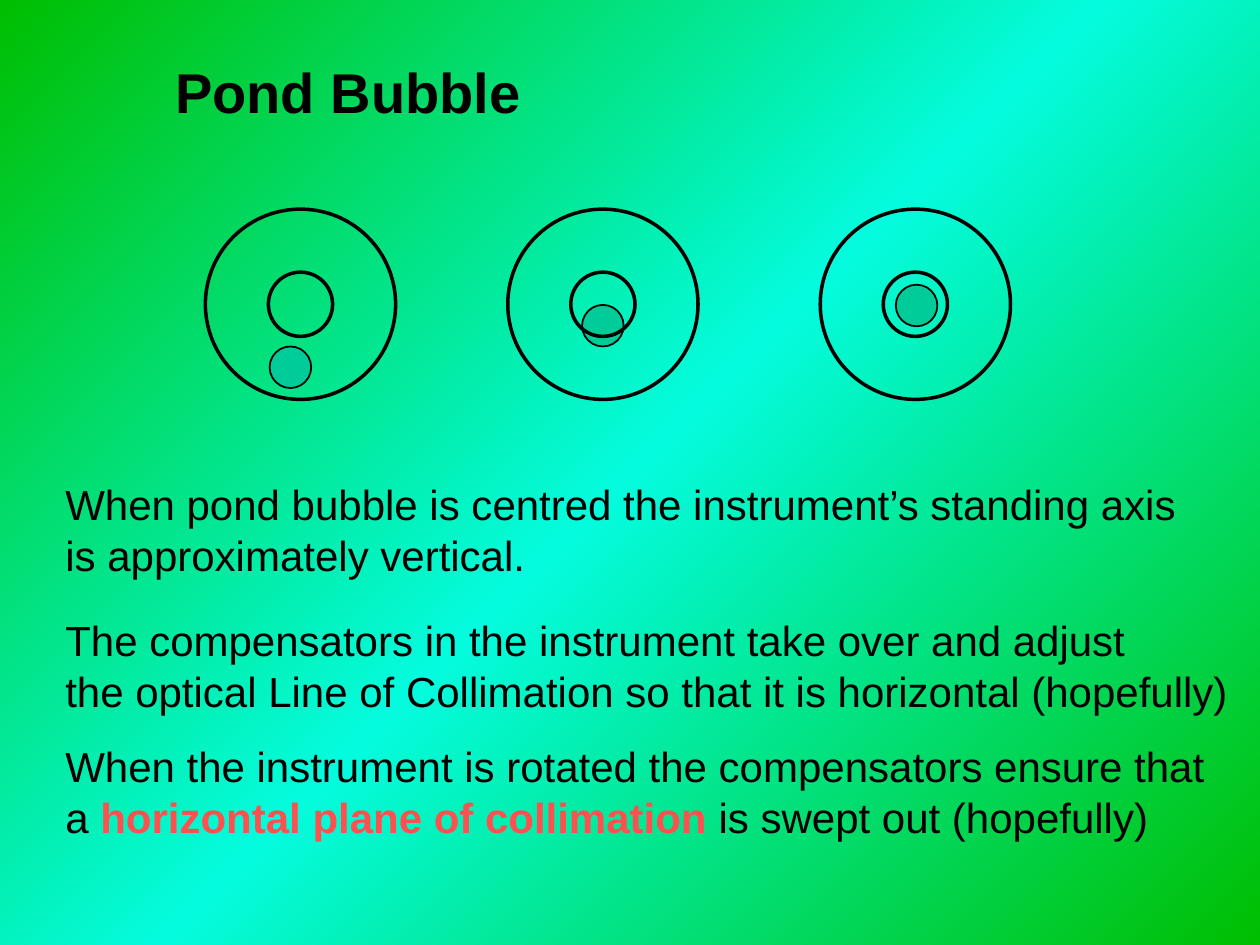
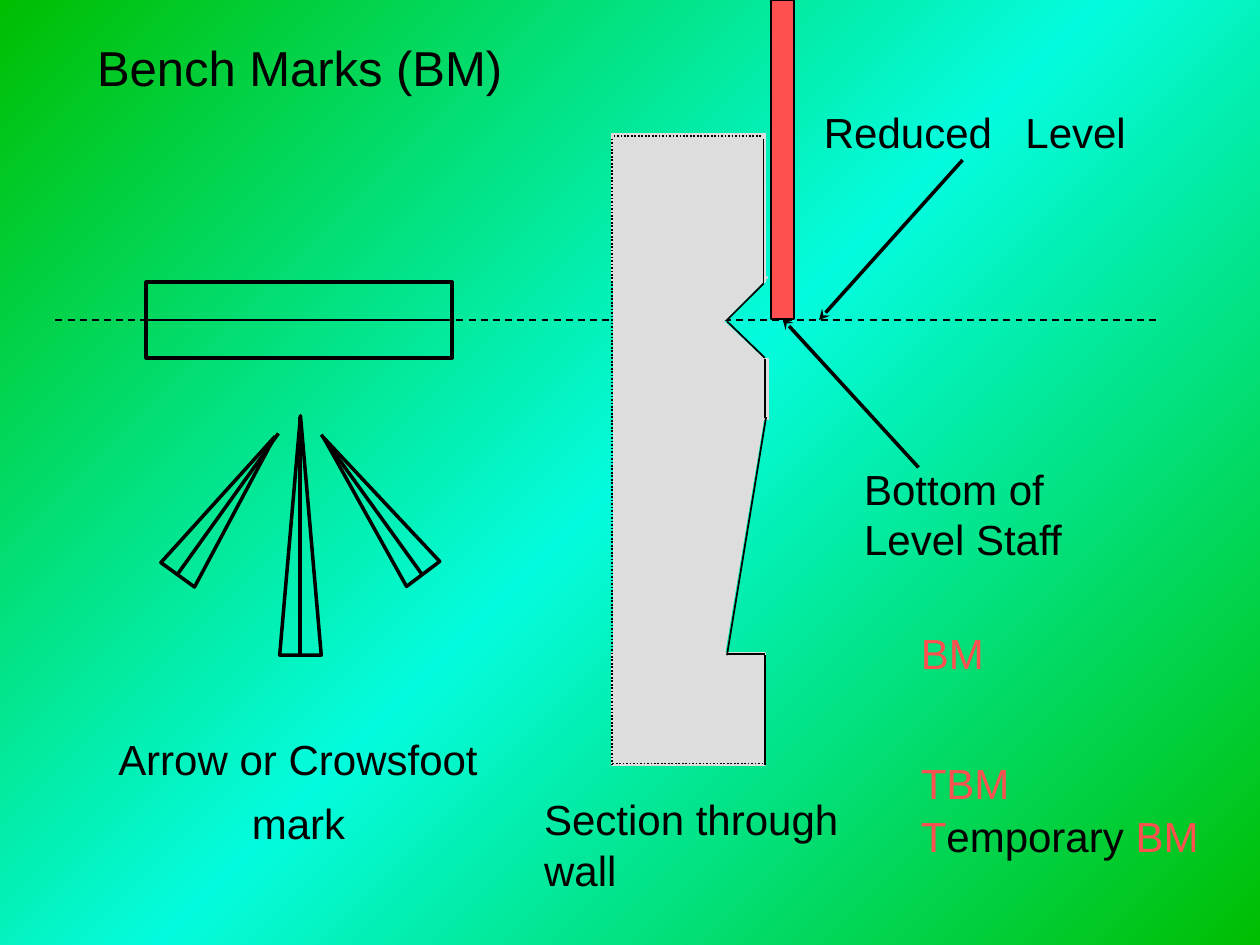
from copy import deepcopy

from lxml import etree
from pptx import Presentation, util as u
from pptx.dml.color import RGBColor
from pptx.enum import dml, shapes, text
from pptx.oxml.ns import qn

FONT = "Arial"
BLACK, RED, TEAL, GREY = "000000", "FF5050", "00CC99", "DDDDDD"
BACKGROUND = [(0, "00BE00"), (0.5, "04FCDE"), (1, "00BE00")]
OVAL = shapes.MSO_SHAPE.OVAL
RECT = shapes.MSO_SHAPE.RECTANGLE
TRIANGLE = shapes.MSO_SHAPE.ISOSCELES_TRIANGLE
RIGHT_TRIANGLE = shapes.MSO_SHAPE.RIGHT_TRIANGLE
DASH, DOTS = dml.MSO_LINE.DASH, dml.MSO_LINE.ROUND_DOT

# Paragraphs are lists of (words, colour, bold) spans or plain strings.
POND_TITLE = ((1.29, 0.41, 2.95, 0.63), [["Pond Bubble"]])
POND_TEXTS = [
    ((0.42, 3.75, 9.02, 0.9),
     [["When pond bubble is centred the instrument’s standing axis"],
      ["is approximately vertical."]]),
    ((0.42, 4.83, 9.43, 0.9),
     [["The compensators in the instrument take over and adjust"],
      ["the optical Line of Collimation so that it is horizontal (hopefully)"]]),
    ((0.42, 5.83, 9.24, 0.9),
     [["When the instrument is rotated the compensators ensure that"],
      ["a ", ("horizontal plane of collimation", RED, True),
       " is swept out (hopefully)"]]),
]
VIAL_TOP, VIAL_SIZE, RING_SIZE, BUBBLE_SIZE = 1.66, 1.51, 0.51, 0.33
# Left of each vial, and place of its bubble within the vial
VIALS = [(1.63, (0.51, 1.09)), (4.03, (0.59, 0.76)), (6.51, (0.6, 0.6))]

BENCH_TITLE = ((0.67, 0.25, 3.42, 0.57), [["Bench Marks (BM)"]])
BENCH_TEXTS = [
    ((0.84, 5.77, 3.05, 0.5), [["Arrow or Crowsfoot"]]),
    ((1.9, 6.28, 0.94, 0.5), [["mark"]]),
    ((6.44, 0.8, 2.61, 0.5), [["Reduced\tLevel"]]),
    ((4.22, 6.25, 2.54, 0.9), [["Section through"], ["wall"]]),
    ((6.76, 3.63, 1.78, 0.9), [["Bottom of"], ["Level Staff"]]),
    ((7.21, 4.93, 0.7, 0.5), [[("BM", RED, False)]]),
    ((7.21, 5.96, 0.91, 0.5), [[("TBM", RED, False)]]),
    ((7.21, 6.38, 2.41, 0.5),
     [[("T", RED, False), "emporary", (" BM", RED, False)]]),
]
LEVEL_TAB = 1.6
LEVEL_Y = 2.54
# Place, rotation, mirrored, apex position
CROWSFOOT = [
    ((2.22, 3.3, 0.33, 1.9), 0, False, 0.5),
    ((2.79, 3.35, 0.33, 1.34), 323, False, 0.563),
    ((1.64, 3.35, 0.33, 1.34), 36, True, 0.563),
]
CROWSFOOT_RIDGES = [
    ((2.21, 3.44), (1.4, 4.57)),
    ((2.55, 3.45), (3.35, 4.56)),
    ((2.38, 3.31), (2.38, 5.2)),
]
# Preset, place, upside down
WALL_PARTS = [
    (RIGHT_TRIANGLE, (5.73, 2.54, 0.34, 0.32), False),
    (RECT, (5.74, 2.85, 0.36, 0.48), False),
    (RECT, (4.86, 5.18, 1.21, 0.89), False),
    (RECT, (4.86, 1.06, 1.21, 1.18), False),
    (RECT, (4.87, 2.2, 0.87, 3), False),
    (RIGHT_TRIANGLE, (5.75, 2.2, 0.34, 0.34), True),
    (RIGHT_TRIANGLE, (5.75, 3.31, 0.31, 1.87), True),
]
WALL_CUTS = [
    ((4.86, 1.1), (4.86, 6.07)),
    ((4.86, 6.06), (6.07, 6.06)),
    ((4.87, 1.08), (6.05, 1.08)),
]
WALL_FACE = [
    ((6.06, 1.1), (6.06, 2.25)),
    ((6.06, 2.25), (5.77, 2.54)),
    ((5.77, 2.55), (6.07, 2.84)),
    ((6.07, 2.85), (6.07, 3.32)),
    ((6.08, 3.31), (5.77, 5.2)),
    ((5.77, 5.19), (6.07, 5.19)),
    ((6.07, 5.2), (6.07, 6.07)),
]


def color(value):
    return RGBColor.from_string(value)


def inches(values):
    return [u.Inches(value) for value in values]


def paint_background(master):
    fill = master.background.fill
    fill.gradient()
    fill.gradient_angle = 135
    stops = master.element.find(".//" + qn("a:gsLst"))
    stops.append(deepcopy(stops[-1]))
    for stop, (position, value) in zip(fill.gradient_stops, BACKGROUND):
        stop.position = position
        stop.color.rgb = color(value)


def write_text(box, paragraphs, size=24, bold=False, tab=None):
    frame = box.text_frame
    frame.word_wrap = False
    frame.auto_size = text.MSO_AUTO_SIZE.SHAPE_TO_FIT_TEXT
    frame.vertical_anchor = text.MSO_ANCHOR.TOP
    for index, spans in enumerate(paragraphs):
        para = frame.add_paragraph() if index else frame.paragraphs[0]
        para.alignment = text.PP_ALIGN.LEFT
        para.line_spacing = u.Pt(size * 1.2)
        if tab:
            tabs = etree.SubElement(para._p.get_or_add_pPr(), qn("a:tabLst"))
            etree.SubElement(tabs, qn("a:tab"), pos=str(u.Inches(tab)), algn="l")
        for item in spans:
            words, value, heavy = (item, BLACK, bold) if isinstance(item, str) else item
            span = para.add_run()
            span.text = words
            span.font.name = FONT
            span.font.size = u.Pt(size)
            span.font.bold = heavy
            span.font.color.rgb = color(value)


def add_titled_slide(deck, title, size, bold=False):
    slide = deck.slides.add_slide(deck.slide_layouts[5])
    place, paragraphs = title
    box = slide.shapes.title
    box.left, box.top, box.width, box.height = inches(place)
    write_text(box, paragraphs, size=size, bold=bold)
    return slide


def add_texts(slide, texts):
    for place, paragraphs in texts:
        box = slide.shapes.add_textbox(*inches(place))
        tabbed = any("\t" in item for spans in paragraphs for item in spans)
        write_text(box, paragraphs, tab=LEVEL_TAB if tabbed else None)


def draw_shape(slide, preset, place, fill=None, line=BLACK, weight=1,
               rotation=0, mirrored=False):
    shape = slide.shapes.add_shape(preset, *inches(place))
    shape.shadow.inherit = False
    if fill:
        shape.fill.solid()
        shape.fill.fore_color.rgb = color(fill)
    else:
        shape.fill.background()
    shape.line.color.rgb = color(line)
    shape.line.width = u.Pt(weight)
    shape.rotation = rotation
    if mirrored:
        shape._element.spPr.find(qn("a:xfrm")).set("flipH", "1")
    return shape


def draw_line(slide, begin, end, weight=1, dash=None, arrow=False):
    line = slide.shapes.add_connector(
        shapes.MSO_CONNECTOR.STRAIGHT, *inches(begin + end))
    line.line.color.rgb = color(BLACK)
    line.line.width = u.Pt(weight)
    if dash:
        line.line.dash_style = dash
    if arrow:
        etree.SubElement(line.line._get_or_add_ln(), qn("a:tailEnd"), type="stealth")
    etree.SubElement(line._element.spPr, qn("a:effectLst"))
    return line


def draw_vial(slide, left, bubble):
    draw_shape(slide, OVAL, (left + bubble[0], VIAL_TOP + bubble[1],
                             BUBBLE_SIZE, BUBBLE_SIZE), fill=TEAL)
    for size in (RING_SIZE, VIAL_SIZE):
        inset = (VIAL_SIZE - size) / 2
        draw_shape(slide, OVAL, (left + inset, VIAL_TOP + inset, size, size), weight=2)


def draw_crowsfoot(slide):
    bar = draw_shape(slide, RECT, (1.16, 2.24, 2.43, 0.6), weight=2)
    middle = draw_line(slide, (1.16, LEVEL_Y), (3.59, LEVEL_Y))
    middle.begin_connect(bar, 1)
    middle.end_connect(bar, 3)
    draw_line(slide, (0.44, LEVEL_Y), (9.18, LEVEL_Y), dash=DASH)
    for place, rotation, mirrored, apex in CROWSFOOT:
        toe = draw_shape(slide, TRIANGLE, place, weight=2,
                         rotation=rotation, mirrored=mirrored)
        toe.adjustments[0] = apex
    for begin, end in CROWSFOOT_RIDGES:
        draw_line(slide, begin, end, weight=2)


def draw_wall(slide):
    for preset, place, upside_down in WALL_PARTS:
        draw_shape(slide, preset, place, fill=GREY, line=GREY,
                   rotation=180 if upside_down else 0, mirrored=upside_down)
    for begin, end in WALL_CUTS:
        draw_line(slide, begin, end, dash=DOTS)
    for begin, end in WALL_FACE:
        draw_line(slide, begin, end)


def draw_staff(slide):
    staff = draw_shape(slide, RECT, (6.12, 0, 0.18, 2.53), fill=RED)
    draw_line(slide, (7.64, 1.27), (6.5, LEVEL_Y), weight=2, arrow=True)
    pointer = draw_line(slide, (7.29, 3.71), (6.2, LEVEL_Y), weight=2, arrow=True)
    pointer.end_connect(staff, 2)


def main():
    deck = Presentation()
    deck.slide_width, deck.slide_height = inches((10, 7.5))
    paint_background(deck.slide_master)

    pond = add_titled_slide(deck, POND_TITLE, size=32, bold=True)
    for left, bubble in VIALS:
        draw_vial(pond, left, bubble)
    add_texts(pond, POND_TEXTS)

    bench = add_titled_slide(deck, BENCH_TITLE, size=28)
    draw_crowsfoot(bench)
    draw_wall(bench)
    draw_staff(bench)
    add_texts(bench, BENCH_TEXTS)

    deck.save("out.pptx")


if __name__ == "__main__":
    main()
